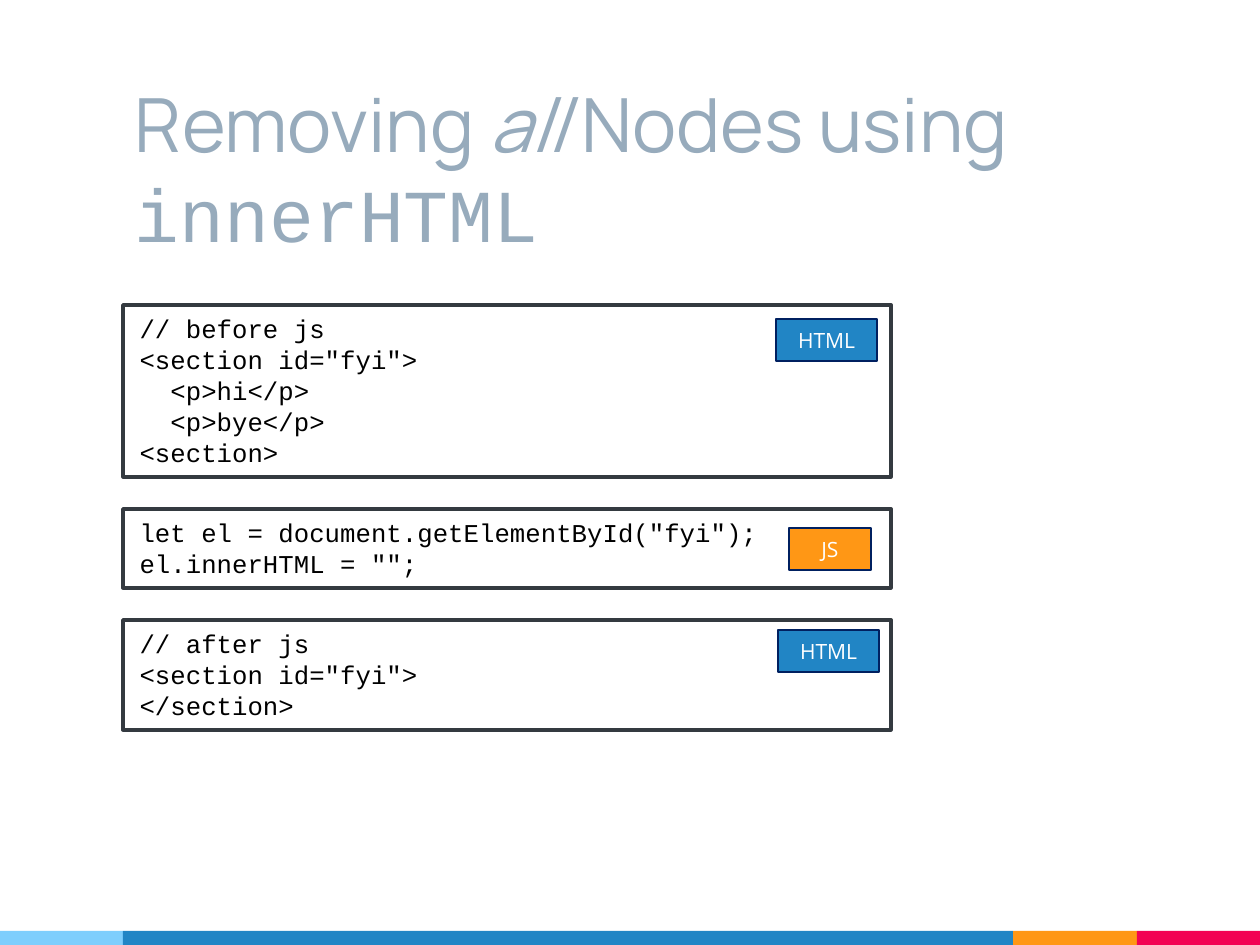
from pptx import Presentation
from pptx.dml.color import RGBColor
from pptx.enum.shapes import MSO_SHAPE
from pptx.enum.text import MSO_ANCHOR, PP_ALIGN
from pptx.util import Emu, Pt

RECT = MSO_SHAPE.RECTANGLE
TOP, MIDDLE = MSO_ANCHOR.TOP, MSO_ANCHOR.MIDDLE
LEFT, CENTER = PP_ALIGN.LEFT, PP_ALIGN.CENTER
MONO, SANS, HEAD = "Courier New", "Open Sans", "Manrope"
BLUE, ORANGE = "2185C5", "FF9715"
WIDE, HIGH = 1260, 945
EDGE, GAP = 123, 32
LINE, PAD = 31, 17

BARS = [(0, "7ECEFD"), (EDGE, BLUE), (1013, ORANGE), (1137, "F20253")]
TITLE = [
    ("Removing ", HEAD, False),
    ("all", HEAD, True),
    (" Nodes using ", HEAD, False),
    ("innerHTML", MONO, False),
]
CODE = [
    '// before js\n<section id="fyi">\n  <p>hi</p>\n  <p>bye</p>\n<section>',
    'let el = document.getElementById("fyi");\nel.innerHTML = "";',
    '// after js\n<section id="fyi">\n</section>',
]
TAGS = [
    ("JS", 789, 528, 82, ORANGE),
    ("HTML", 776, 319, 101, BLUE),
    ("HTML", 778, 630, 101, BLUE),
]


def px(num):
    return Emu(round(num * 914400 / 168))


def color(code):
    return RGBColor.from_string(code)


def style(run, font, size, ink):
    run.font.name = font
    run.font.size = Pt(size)
    run.font.color.rgb = color(ink)


def add_rect(slide, x, y, w, h, fill, line=None, weight=0):
    rect = slide.shapes.add_shape(RECT, px(x), px(y), px(w), px(h))
    rect.shadow.inherit = False
    rect.fill.solid()
    rect.fill.fore_color.rgb = color(fill)
    if line:
        rect.line.color.rgb = color(line)
        rect.line.width = Pt(weight)
    else:
        rect.line.fill.background()
    return rect


def put_text(rect, text, font, size, ink, align, anchor):
    frame = rect.text_frame
    frame.word_wrap = True
    frame.vertical_anchor = anchor
    frame.text = text
    for para in frame.paragraphs:
        para.alignment = align
        for run in para.runs:
            style(run, font, size, ink)


def add_bars(slide):
    ends = [x for x, _ in BARS[1:]] + [WIDE]
    for (x, fill), end in zip(BARS, ends):
        add_rect(slide, x, 931, end - x, 14, fill)


def add_title(slide):
    box = slide.shapes.add_textbox(px(EDGE), px(66), px(1045), px(158))
    frame = box.text_frame
    frame.word_wrap = True
    frame.vertical_anchor = TOP
    frame.margin_left = frame.margin_right = px(12)
    frame.margin_top = frame.margin_bottom = px(12)
    for text, font, slant in TITLE:
        run = frame.paragraphs[0].add_run()
        run.text = text
        style(run, font, 32, "97ABBC")
        run.font.italic = slant


def add_code(slide):
    y = 305
    for text in CODE:
        h = PAD + LINE * len(text.split("\n"))
        rect = add_rect(slide, EDGE, y, 768, h, "FFFFFF", "343A40", 1.5)
        put_text(rect, text, MONO, 11, "000000", LEFT, TOP)
        y += h + GAP


def add_tag(slide, text, x, y, w, fill):
    rect = add_rect(slide, x, y, w, 42, fill, "002060", 0.75)
    put_text(rect, text, SANS, 9, "FFFFFF", CENTER, MIDDLE)


def main():
    deck = Presentation()
    deck.slide_width, deck.slide_height = px(WIDE), px(HIGH)
    slide = deck.slides.add_slide(deck.slide_layouts[6])
    add_bars(slide)
    add_title(slide)
    add_code(slide)
    for tag in TAGS:
        add_tag(slide, *tag)
    deck.save("out.pptx")


if __name__ == "__main__":
    main()
